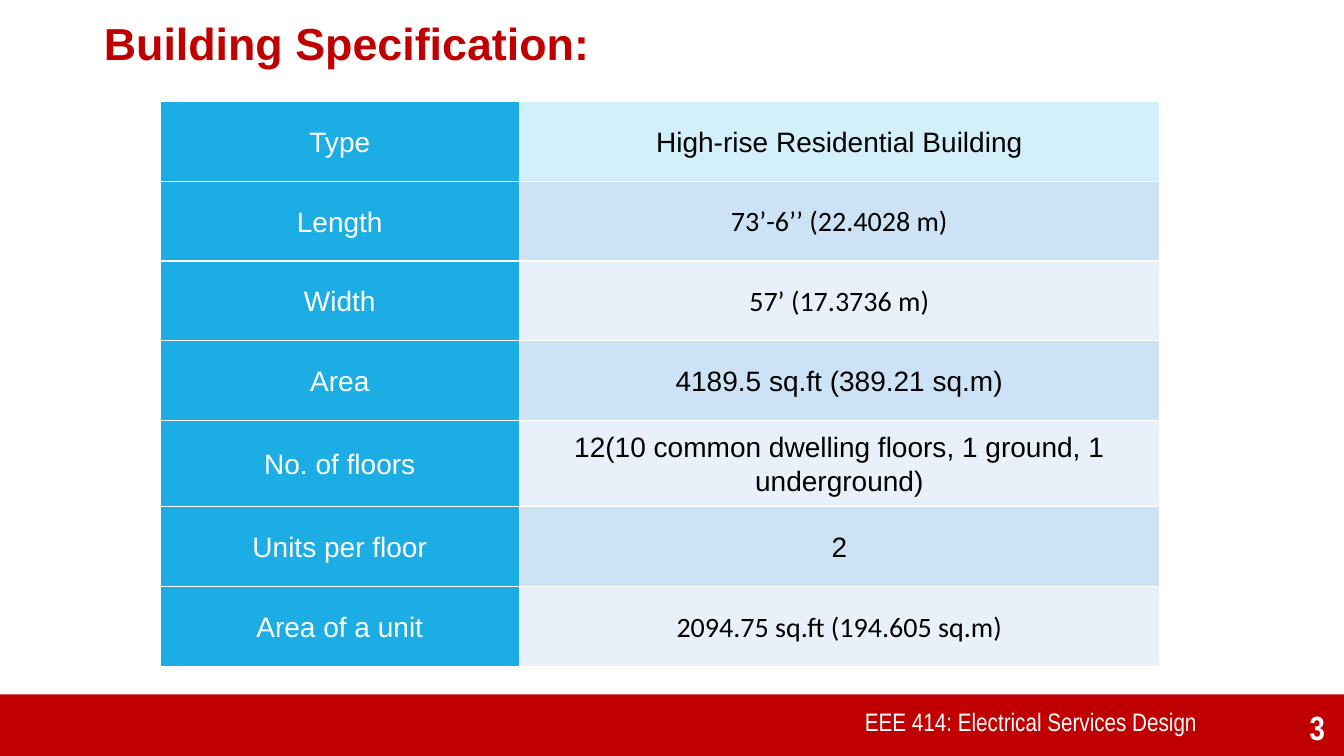
from lxml import etree
from pptx import Presentation
from pptx import util as u
from pptx.dml.color import RGBColor
from pptx.enum import shapes, text
from pptx.oxml.ns import qn

RED = "C00000"
WHITE = "FFFFFF"
BLACK = "000000"
LABEL_BLUE = "1CADE4"
FIRST_VALUE_FILL = "D2EFFA"
BAND_FILLS = ("E8F1FA", "CDE3F5")

SPECIFICATIONS = [
    ("Type", "High-rise Residential Building", "Arial"),
    ("Length", "73’-6’’ (22.4028 m)", "Calibri"),
    ("Width", "57’ (17.3736 m)", "Calibri"),
    ("Area", "4189.5 sq.ft (389.21 sq.m)", "Arial"),
    ("No. of floors", "12(10 common dwelling floors, 1 ground, 1 underground)", "Arial"),
    ("Units per floor", "2", "Arial"),
    ("Area of a unit", "2094.75 sq.ft (194.605 sq.m)", "Calibri"),
]
COLUMN_WIDTHS = (3.56, 6.35)
ROW_HEIGHTS = (0.79, 0.79, 0.79, 0.79, 0.86, 0.79, 0.79)


def color(value):
    return RGBColor.from_string(value)


def paint(target, value):
    target.fill.solid()
    target.fill.fore_color.rgb = color(value)


def write(frame, content, size=20, font="Arial", ink=BLACK, bold=False,
          align=text.PP_ALIGN.LEFT, spacing=1.0):
    para = frame.paragraphs[0]
    para.alignment = align
    para.line_spacing = spacing
    span = para.add_run()
    span.text = content
    span.font.size = u.Pt(size)
    span.font.name = font
    span.font.bold = bold
    span.font.color.rgb = color(ink)


def place(shape, left, top, width, height):
    shape.left, shape.top = u.Inches(left), u.Inches(top)
    shape.width, shape.height = u.Inches(width), u.Inches(height)


def add_title(slide, content):
    title = slide.shapes.title
    place(title, 0.93, 0.17, 8.26, 0.59)
    frame = title.text_frame
    frame.word_wrap = True
    frame.auto_size = text.MSO_AUTO_SIZE.NONE
    frame.vertical_anchor = text.MSO_ANCHOR.TOP
    write(frame, content, size=32, ink=RED, bold=True, spacing=0.9)


def add_label(slide, content, left, top, width, height,
              anchor=text.MSO_ANCHOR.TOP, **style):
    box = slide.shapes.add_textbox(
        u.Inches(left), u.Inches(top), u.Inches(width), u.Inches(height))
    box.text_frame.word_wrap = True
    box.text_frame.vertical_anchor = anchor
    write(box.text_frame, content, font="Arial Narrow", ink=WHITE, **style)


def add_footer(slide):
    band = slide.shapes.add_shape(
        shapes.MSO_SHAPE.RECTANGLE, 0, u.Inches(6.89), u.Inches(13.33), u.Inches(0.63))
    band.shadow.inherit = False
    paint(band, RED)
    band.line.fill.background()
    add_label(slide, "EEE 414: Electrical Services Design", 8.48, 6.96, 4.02, 0.49, size=18)
    add_label(slide, "3", 12.5, 7, 0.74, 0.46, anchor=text.MSO_ANCHOR.BOTTOM,
              size=24, bold=True, align=text.PP_ALIGN.RIGHT)


def add_borders(cell):
    properties = cell._tc.get_or_add_tcPr()
    for position, side in enumerate(("a:lnL", "a:lnR", "a:lnT", "a:lnB")):
        line = etree.Element(qn(side), w=str(u.Pt(1)))
        fill = etree.SubElement(line, qn("a:solidFill"))
        etree.SubElement(fill, qn("a:srgbClr"), val=WHITE)
        properties.insert(position, line)


def fill_cell(cell, content, background, ink, font):
    cell.margin_left = cell.margin_right = u.Inches(0.07)
    cell.margin_top = cell.margin_bottom = 0
    cell.vertical_anchor = text.MSO_ANCHOR.MIDDLE
    write(cell.text_frame, content, font=font, ink=ink,
          align=text.PP_ALIGN.CENTER, spacing=1.07)
    paint(cell, background)
    add_borders(cell)


def add_specification_table(slide):
    table = slide.shapes.add_table(
        len(SPECIFICATIONS), len(COLUMN_WIDTHS), u.Inches(1.59), u.Inches(1.01),
        u.Inches(sum(COLUMN_WIDTHS)), u.Inches(sum(ROW_HEIGHTS))).table
    for column, width in zip(table.columns, COLUMN_WIDTHS):
        column.width = u.Inches(width)
    for row, height in zip(table.rows, ROW_HEIGHTS):
        row.height = u.Inches(height)
    for index, (label, value, font) in enumerate(SPECIFICATIONS):
        background = BAND_FILLS[index % 2] if index else FIRST_VALUE_FILL
        fill_cell(table.cell(index, 0), label, LABEL_BLUE, WHITE, "Arial")
        fill_cell(table.cell(index, 1), value, background, BLACK, font)


def main():
    deck = Presentation()
    deck.slide_width, deck.slide_height = u.Inches(13.33), u.Inches(7.5)
    slide = deck.slides.add_slide(deck.slide_layouts[5])
    add_footer(slide)
    add_specification_table(slide)
    add_title(slide, "Building Specification:")
    deck.save("out.pptx")


if __name__ == "__main__":
    main()
